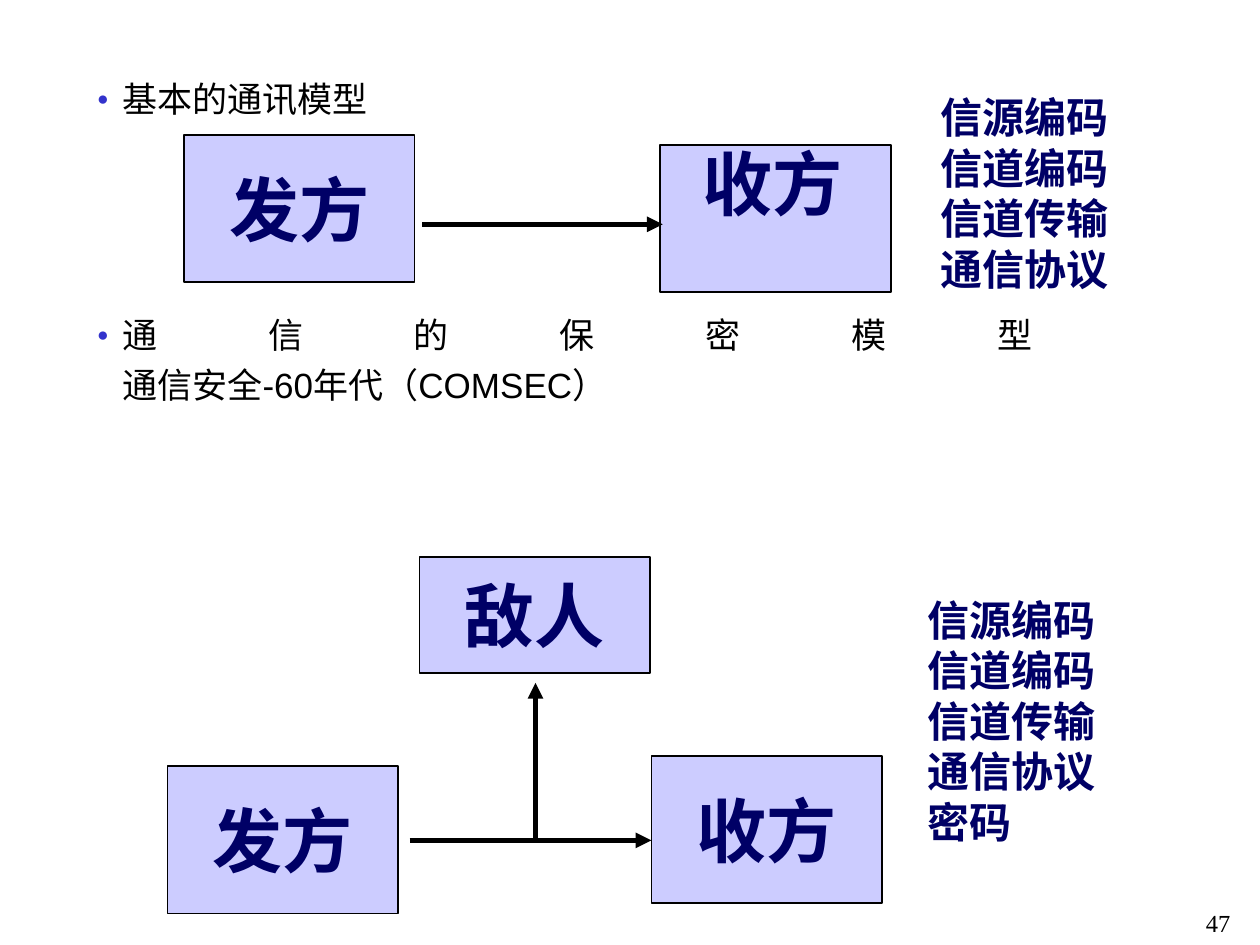
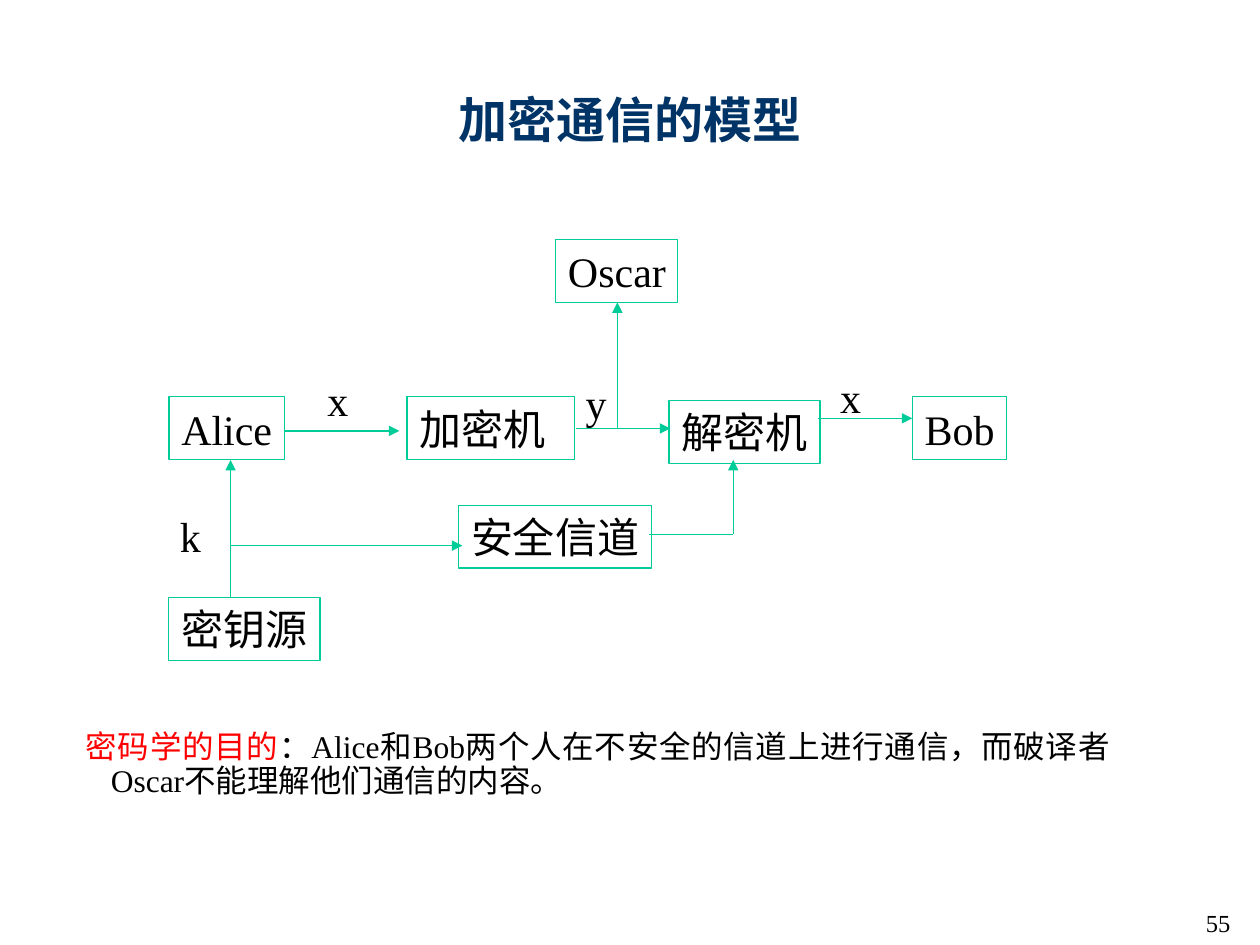
from dataclasses import dataclass
from lxml.etree import SubElement
from pptx import Presentation
from pptx.dml.color import RGBColor
from pptx.enum.shapes import MSO_CONNECTOR, MSO_SHAPE
from pptx.enum.text import MSO_ANCHOR, MSO_AUTO_SIZE, PP_ALIGN
from pptx.oxml.ns import qn
from pptx.util import Inches, Pt


@dataclass(frozen=True)
class Theme:
    ink: str = "000000"
    navy: str = "000066"
    title: str = "003366"
    lilac: str = "CCCCFF"
    green: str = "00CC99"
    red: str = "FF0000"
    bullet: str = "3333CC"
    serif: str = "Times New Roman"
    sans: str = "Arial"
    party_size: int = 40
    title_size: int = 28
    label_size: int = 24
    bullet_size: int = 20
    body_size: int = 18
    number_size: int = 14


THEME = Theme()

BULLETS = [
    ("基本的通讯模型", THEME.serif, 0),
    ("通信的保密模型\v通信安全-60年代（COMSEC）", THEME.sans, 106),
]
PARTIES = [
    ("发方", 1.46, 1.07, 1.17),
    ("", 5.24, 1.15, 1.17),
    ("发方", 1.33, 6.08, 1.17),
    ("收方", 5.17, 6, 1.17),
    ("敌人", 3.33, 4.42, 0.92),
]
PARTY_WIDTH = 1.83
PARTY_ARROWS = [
    (3.35, 1.78, 5.26, 1.78),
    (3.25, 6.67, 5.17, 6.67),
    (4.25, 6.67, 4.25, 5.42),
]
TECHNIQUES = ["信源编码", "信道编码", "信道传输", "通信协议"]
TECHNIQUE_LISTS = [
    (TECHNIQUES, (7.37, 0.68, 1.53, 1.7)),
    (TECHNIQUES + ["密码"], (7.26, 4.67, 1.53, 2.1)),
]

CIPHER_TITLE = "加密通信的模型"
CIPHER_NODES = [
    ("Alice", 1.34, 3.15, 0.92, False),
    ("加密机", 3.23, 3.15, 1.33, True),
    ("解密机", 5.31, 3.18, 1.2, False),
    ("Bob", 7.24, 3.15, 0.75, False),
    ("安全信道", 3.64, 4.01, 1.53, False),
    ("密钥源", 1.34, 4.74, 1.2, False),
    ("Oscar", 4.41, 1.9, 0.97, False),
]
NODE_HEIGHT = 0.5
SIGNALS = [("x", 2.5, 2.92), ("y", 4.55, 2.95), ("x", 6.57, 2.9), ("k", 1.33, 4)]
SIGNAL_WIDTH = 0.36
CIPHER_LINES = [
    (1.83, 4.74, 1.83, 3.65, True),
    (1.83, 4.33, 3.67, 4.33, True),
    (2.25, 3.42, 3.17, 3.42, True),
    (4.57, 3.4, 5.32, 3.4, True),
    (6.49, 3.32, 7.24, 3.32, True),
    (4.9, 3.4, 4.9, 2.4, True),
    (5.15, 4.24, 5.82, 4.24, False),
    (5.82, 4.24, 5.82, 3.65, True),
]
PURPOSE = [
    ("密码学的目的", THEME.red),
    ("：Alice和Bob两个人在不安全的信道上进行通信，而破译者Oscar不能理解他们通信的内容。", THEME.ink),
]


def place(shape, left, top, width, height):
    shape.left, shape.top = Inches(left), Inches(top)
    shape.width, shape.height = Inches(width), Inches(height)


def style_span(span, size, color=THEME.ink, name=THEME.serif, bold=False):
    span.font.size = Pt(size)
    span.font.name = name
    span.font.bold = bold
    span.font.color.rgb = RGBColor.from_string(color)


def write(box, lines, size, color=THEME.ink, bold=False, align=PP_ALIGN.LEFT,
          anchor=MSO_ANCHOR.TOP, wrap=False):
    frame = box.text_frame
    frame.text = "\n".join(lines)
    frame.word_wrap = wrap
    frame.vertical_anchor = anchor
    for para in frame.paragraphs:
        para.alignment = align
        for span in para.runs:
            style_span(span, size, color, bold=bold)


def add_label(page, bounds, lines, size, **style):
    box = page.shapes.add_textbox(*map(Inches, bounds))
    write(box, lines, size, **style)
    return box


def add_box(page, bounds, line, weight, fill=None):
    box = page.shapes.add_shape(MSO_SHAPE.RECTANGLE, *map(Inches, bounds))
    box.shadow.inherit = False
    box.line.color.rgb = RGBColor.from_string(line)
    box.line.width = Pt(weight)
    if fill:
        box.fill.solid()
        box.fill.fore_color.rgb = RGBColor.from_string(fill)
    else:
        box.fill.background()
    return box


def add_line(page, ends, color, weight, arrow=True):
    line = page.shapes.add_connector(MSO_CONNECTOR.STRAIGHT, *map(Inches, ends))
    line.line.color.rgb = RGBColor.from_string(color)
    line.line.width = Pt(weight)
    if arrow:
        SubElement(line.line._ln, qn("a:tailEnd"), type="triangle")
    SubElement(line._element.spPr, qn("a:effectLst"))


def add_page_number(page, number):
    box = add_label(page, (9.57, 7.21, 0.33, 0.23), [number], THEME.number_size)
    frame = box.text_frame
    frame.margin_left = frame.margin_top = frame.margin_right = frame.margin_bottom = 0


def format_body_para(para, spacing, before=0, bullet=False):
    properties = para._p.get_or_add_pPr()
    properties.set("marL", str(Inches(0.2)))
    properties.set("indent", str(-Inches(0.2)))
    if bullet:
        color = SubElement(properties, qn("a:buClr"))
        SubElement(color, qn("a:srgbClr"), val=THEME.bullet)
        SubElement(properties, qn("a:buSzPct"), val="55000")
        SubElement(properties, qn("a:buChar"), char="●")
    else:
        SubElement(properties, qn("a:buNone"))
    para.alignment = PP_ALIGN.JUSTIFY
    para.line_spacing = spacing
    para.space_before = Pt(before)


def prepare_body(page, bounds):
    body = page.placeholders[1]
    place(body, *bounds)
    body.text_frame.auto_size = MSO_AUTO_SIZE.NONE
    return body.text_frame


def build_communication_models(page):
    title = page.shapes.title._element
    title.getparent().remove(title)
    frame = prepare_body(page, (0.67, 0.5, 8.5, 6.25))
    for index, (text, name, before) in enumerate(BULLETS):
        para = frame.add_paragraph() if index else frame.paragraphs[0]
        para.text = text
        format_body_para(para, 1.2, before, bullet=True)
        for span in para.runs:
            style_span(span, THEME.bullet_size, name=name)

    heading = dict(color=THEME.navy, bold=True)
    for text, left, top, height in PARTIES:
        box = add_box(page, (left, top, PARTY_WIDTH, height), THEME.ink, 1, THEME.lilac)
        if text:
            write(box, [text], THEME.party_size, align=PP_ALIGN.CENTER,
                  anchor=MSO_ANCHOR.MIDDLE, **heading)
    add_label(page, (5.48, 1.07, 1.31, 0.77), ["收方"], THEME.party_size, **heading)
    for ends in PARTY_ARROWS:
        add_line(page, ends, THEME.ink, 3)
    for lines, bounds in TECHNIQUE_LISTS:
        add_label(page, bounds, lines, THEME.label_size, **heading)


def build_cipher_model(page):
    title = page.shapes.title
    place(title, 0.75, 0.44, 8.5, 1)
    write(title, [CIPHER_TITLE], THEME.title_size, align=PP_ALIGN.CENTER,
          anchor=MSO_ANCHOR.MIDDLE, wrap=True)
    for span in title.text_frame.paragraphs[0].runs:
        style_span(span, THEME.title_size, THEME.title, THEME.sans, True)
        effects = span._r.get_or_add_rPr().makeelement(qn("a:effectLst"))
        span._r.rPr.find(qn("a:solidFill")).addnext(effects)
        shadow = SubElement(effects, qn("a:outerShdw"), dist="25400", dir="2700000")
        SubElement(shadow, qn("a:srgbClr"), val="C0C0C0")

    para = prepare_body(page, (0.58, 5.75, 8.33, 0.63)).paragraphs[0]
    format_body_para(para, 0.9)
    for text, color in PURPOSE:
        span = para.add_run()
        span.text = text
        style_span(span, THEME.body_size, color)

    for text, left, top, width, wrap in CIPHER_NODES:
        box = add_box(page, (left, top, width, NODE_HEIGHT), THEME.green, 0.75)
        write(box, [text], THEME.label_size, wrap=wrap)
    for *ends, arrow in CIPHER_LINES:
        add_line(page, ends, THEME.green, 0.75, arrow)
    for text, left, top in SIGNALS:
        add_label(page, (left, top, SIGNAL_WIDTH, NODE_HEIGHT), [text], THEME.label_size)


def main():
    deck = Presentation()
    deck.slide_width, deck.slide_height = Inches(10), Inches(7.5)
    for number, build in [("47", build_communication_models), ("55", build_cipher_model)]:
        page = deck.slides.add_slide(deck.slide_layouts[1])
        build(page)
        add_page_number(page, number)
    deck.save("out.pptx")


if __name__ == "__main__":
    main()
